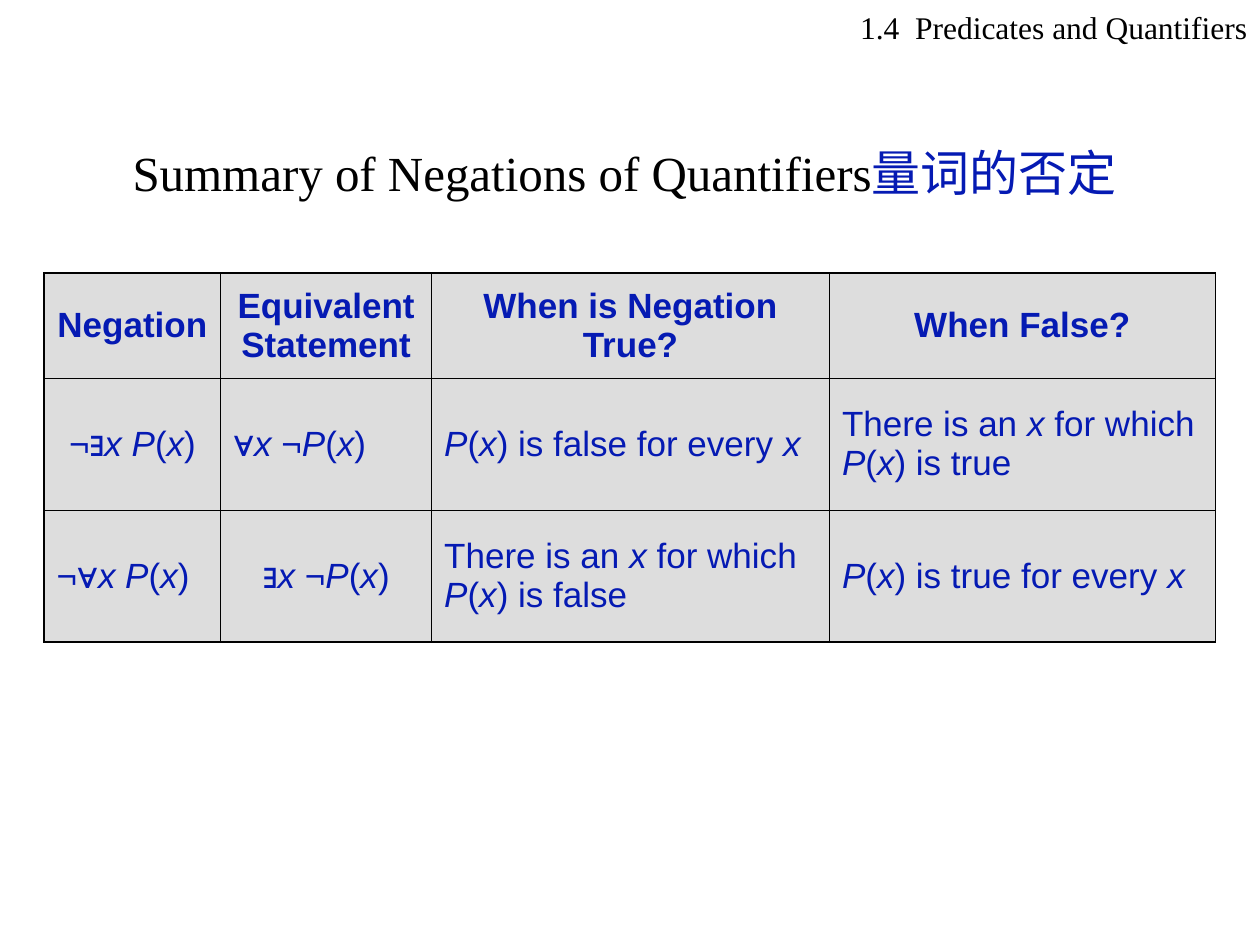
from lxml.etree import SubElement
from pptx import Presentation
from pptx.dml.color import RGBColor
from pptx.enum.text import MSO_ANCHOR, PP_ALIGN
from pptx.oxml.ns import qn
from pptx.util import Cm, Pt

COLORS = {"text": "000000", "accent": "051AB3", "cell": "DDDDDD", "border": "000000"}
THIN, THICK = 0.45, 1.08
LEFT, CENTER, RIGHT = PP_ALIGN.LEFT, PP_ALIGN.CENTER, PP_ALIGN.RIGHT

HEADER = ["Negation", "Equivalent Statement", "When is Negation True?", "When False?"]
BODY = [
    ["¬∃*x P*(*x*)", "∀*x *¬*P*(*x*)", "*P*(*x*) is false for every *x*",
     "There is an *x* for which *P*(*x*) is true"],
    ["¬∀*x P*(*x*)", "∃*x *¬*P*(*x*)", "There is an *x* for which *P*(*x*) is false",
     "*P*(*x*) is true for every *x*"],
]
CENTERED_BODY = {(1, 0), (2, 1)}
COLUMN_WIDTHS = [3.56, 4.25, 8.02, 7.78]
ROW_HEIGHTS = [2.11, 2.66, 2.66]


class SlideBuilder:
    def __init__(self, slide):
        self.slide = slide
        self.heading_font = "Times New Roman"
        self.table_font = "Arial"
        self.table_size = 20

    def add_run(self, p, text, font, size, color, bold=False, italic=False):
        r = p.add_run()
        r.text = text
        r.font.name = font
        r.font.size = Pt(size)
        r.font.bold = bold
        r.font.italic = italic
        r.font.color.rgb = RGBColor.from_string(COLORS[color])

    def add_heading(self, box, parts, size, align, space_before):
        """Add a one-line text box; parts are (text, colour name) pairs."""
        sp = self.slide.shapes.add_textbox(*map(Cm, box))
        tf = sp.text_frame
        tf.word_wrap = True
        p = tf.paragraphs[0]
        p.alignment = align
        p.space_before = Pt(space_before)
        for text, color in parts:
            self.add_run(p, text, self.heading_font, size, color)

    def add_border(self, cell, side, width):
        ln = SubElement(cell._tc.get_or_add_tcPr(), qn(f"a:{side}"), w=str(Pt(width)))
        fill = SubElement(ln, qn("a:solidFill"))
        SubElement(fill, qn("a:srgbClr"), val=COLORS["border"])

    def fill_cell(self, cell, text, align, bold):
        """Write text into a cell; parts between asterisks become italic."""
        cell.vertical_anchor = MSO_ANCHOR.MIDDLE
        p = cell.text_frame.paragraphs[0]
        p.alignment = align
        p.space_after = Pt(5)
        for i, part in enumerate(text.split("*")):
            if part:
                self.add_run(p, part, self.table_font, self.table_size, "accent",
                             bold, italic=i % 2 == 1)

    def add_table(self, left, top, widths, heights, rows, centered):
        n_rows, n_cols = len(rows), len(widths)
        frame = self.slide.shapes.add_table(
            n_rows, n_cols, Cm(left), Cm(top), Cm(sum(widths)), Cm(sum(heights)))
        table = frame.table
        for column, width in zip(table.columns, widths):
            column.width = Cm(width)
        for row, height in zip(table.rows, heights):
            row.height = Cm(height)
        for i, texts in enumerate(rows):
            for j, text in enumerate(texts):
                cell = table.cell(i, j)
                align = CENTER if i == 0 or (i, j) in centered else LEFT
                self.fill_cell(cell, text, align, bold=i == 0)
                outer = {"lnL": j == 0, "lnR": j == n_cols - 1,
                         "lnT": i == 0, "lnB": i == n_rows - 1}
                for side, is_outer in outer.items():
                    self.add_border(cell, side, THICK if is_outer else THIN)
                cell.fill.solid()
                cell.fill.fore_color.rgb = RGBColor.from_string(COLORS["cell"])


def main():
    prs = Presentation()
    prs.slide_width, prs.slide_height = Cm(25.4), Cm(19.05)
    s = SlideBuilder(prs.slides.add_slide(prs.slide_layouts[6]))
    s.add_heading((15.24, 0.04, 10.16, 1.02),
                  [("1.4  Predicates and Quantifiers", "text")], 18, RIGHT, 11.2)
    s.add_heading((0.84, 2.74, 23.5, 1.27),
                  [("Summary of Negations of Quantifiers", "text"),
                   ("量词的否定", "accent")], 28, CENTER, 7)
    s.add_table(0.89, 5.51, COLUMN_WIDTHS, ROW_HEIGHTS, [HEADER, *BODY], CENTERED_BODY)
    prs.save("out.pptx")


if __name__ == "__main__":
    main()
